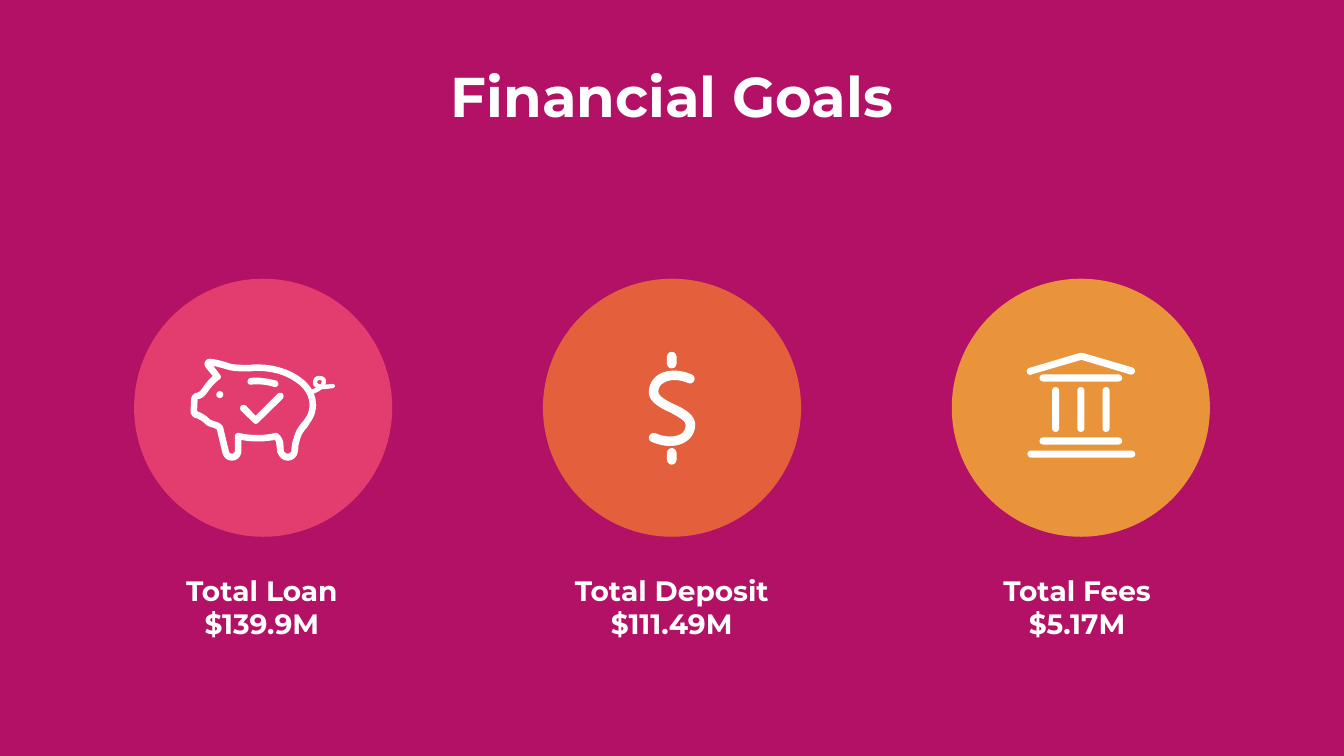
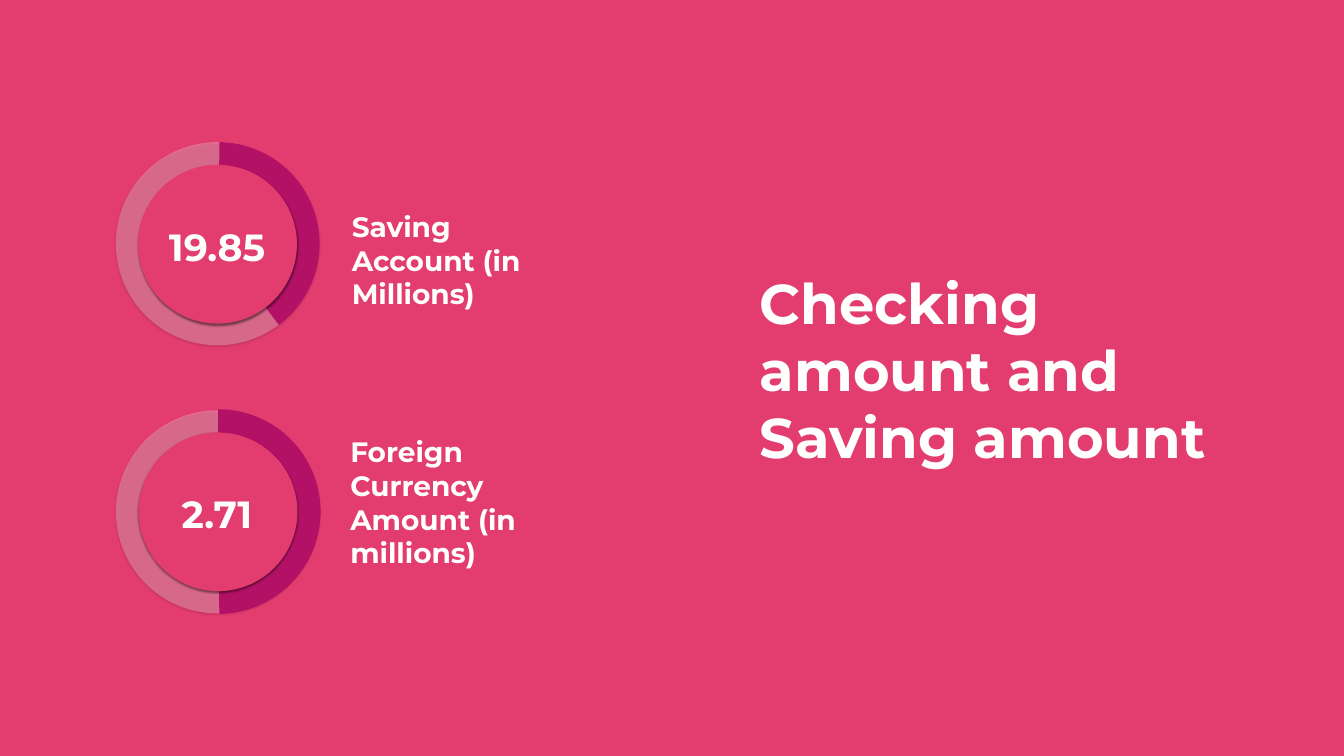
import pptx
import pptx.dml.color
import pptx.enum.shapes
import pptx.enum.text
import pptx.oxml
import pptx.oxml.ns
import pptx.util

PX = 9144  # EMU in one px; 100 px make an inch
WIDTH, HEIGHT = 2666, 1500
FONT = "Montserrat"
WHITE, PLUM, PINK = "FFFFFF", "B31166", "E33D6F"
ORANGE, AMBER = "E45F3C", "E9943A"
TITLE, NUMBER, LABEL = 80, 54, 40
CURVE_STEPS = 6

SHAPE = pptx.enum.shapes.MSO_SHAPE
ALIGN = pptx.enum.text.PP_ALIGN

# Icon outlines in px: ";" parts contours, "," parts segments;
# two numbers make a straight line, six make a curve.
DOLLAR = """1329 885, 1318 885 1305 882 1293 877, 1288 875 1286 869 1288 865,
    1290 860 1296 858 1301 860, 1319 868 1339 868 1351 861, 1357 857 1360 851 1360 843,
    1360 834 1343 826 1329 818, 1319 814 1310 809 1302 803, 1292 796 1287 787 1287 778,
    1287 764 1294 752 1305 744, 1322 733 1348 732 1372 743, 1377 745 1379 750 1377 755,
    1375 760 1370 762 1365 760, 1347 752 1327 752 1316 760, 1309 764 1306 770 1306 778,
    1306 786 1322 795 1337 802, 1346 806 1356 811 1364 817, 1374 825 1379 833 1379 843,
    1379 857 1372 869 1361 876, 1352 882 1341 885 1329 885"""

ROOF = """2044 744, 2041 744 2038 742 2037 739, 2036 735 2038 731 2042 730, 2143 700,
    2144 700 2145 700 2147 700, 2246 729, 2250 731 2252 734 2251 738,
    2250 742 2246 744 2242 743, 2145 714, 2046 743, 2045 744 2045 744 2044 744"""

PIG_INNER_TOP = """563 895, 565 898 568 900 571 900, 575 900 578 897 578 893,
    578 888 579 885 579 882, 580 877 581 873 583 868, 586 855 592 847 599 838,
    601 837 602 835 604 832, 611 823 614 813 614 803, 614 786 604 769 585 757,
    565 743 539 736 511 736, 506 736 502 736 497 737, 493 737 462 738 450 733,
    447 732 433 728 423 726, 436 743, 437 744 438 746 438 748, 438 750 437 752 435 753"""

PIG_INNER_LEGS = """425 760 419 768 414 775, 408 783 403 791 392 792,
    392 792 392 792 392 793, 391 816,
    391 816 392 816 392 816, 393 817 394 818 396 818, 402 821 409 824 416 832,
    418 833 422 835 426 836, 433 838 441 841 443 849, 454 895, 454 898 457 900 460 900,
    463 900 466 897 466 894, 466 865, 466 863 467 861 469 860, 470 859 472 859 474 859,
    486 862 498 863 511 863, 523 863 534 862 546 859, 548 859 551 859 552 861, 556 865,
    559 869 561 873 562 878"""

PIG_OUTER_LEGS = """571 914, 562 914 554 908 551 899, 551 899 550 898 550 898, 548 880,
    548 878 547 876 546 874, 545 873, 534 875 522 876 511 876, 500 876 490 875 479 873,
    479 894, 479 905 471 914 460 914, 450 914 443 907 441 898, 430 852,
    429 851 424 849 421 848, 416 847 410 845 406 840, 401 835 396 833 391 830,
    389 830 388 829 386 829, 381 826 378 821 378 816, 379 793"""

PIG_OUTER_TOP = """379 786 384 780 391 779,
    395 779 398 775 403 768, 407 762 413 754 422 746, 408 729, 405 725 405 720 407 717,
    410 713 414 711 419 712, 430 713 450 719 455 721, 462 724 484 724 496 724,
    501 723 506 723 511 723, 541 723 570 731 592 746, 615 761 627 781 627 803,
    627 816 623 829 614 840, 613 843 611 845 610 847, 603 855 598 861 595 872,
    594 876 593 880 592 884, 592 886 592 889 591 894, 591 905 582 914 571 914"""

PIG_BODY = ";".join([",".join([PIG_INNER_TOP, PIG_INNER_LEGS]),
                     ",".join([PIG_OUTER_LEGS, PIG_OUTER_TOP])])

PIG_TAIL = """634 754, 634 754 633 754 633 754, 632 754 631 755 630 756,
    629 758 629 760 630 760, 631 762 633 762 636 763, 636 762 637 761 637 761,
    638 759 638 757 638 755, 637 755 636 754 634 754;
    613 784, 611 784 610 783 609 781, 609 778 610 776 612 775, 615 774 622 772 627 769,
    626 768 624 767 623 766, 621 764 620 759 622 753, 624 748 629 745 635 746,
    640 746 645 749 646 753, 647 756 647 760 645 763, 650 763 655 762 659 762,
    662 761 664 763 664 765, 665 767 663 769 661 770, 661 770 654 771 646 772,
    643 772 641 772 639 772, 636 774 632 777 627 779, 620 782 615 784 613 784"""

PIG_SLOT = """546 768, 545 768 544 768 544 768, 535 765 529 764 519 763,
    515 762 504 763 499 763, 495 764 492 762 491 758, 491 754 493 751 497 750,
    503 749 515 749 520 750, 531 751 538 753 547 755, 551 756 553 760 552 764,
    551 766 548 768 546 768"""

CHECK_MARK = """507 841, 506 841 504 840 503 839, 478 815, 476 812 476 808 478 805,
    481 803 485 803 488 805, 507 825, 551 781, 554 779 558 779 561 781,
    563 784 563 788 561 791, 512 839, 511 840 509 841 507 841"""


def color(code):
    return pptx.dml.color.RGBColor.from_string(code)


def trace(contour):
    """Turn one contour into points in EMU, with curves cut into short lines."""
    points = []
    for segment in contour.split(","):
        numbers = [int(number) * PX for number in segment.split()]
        knots = list(zip(numbers[::2], numbers[1::2]))
        if len(knots) == 1:
            points += knots
            continue
        knots.insert(0, points[-1])
        for step in range(1, CURVE_STEPS + 1):
            t = step / CURVE_STEPS
            weights = ((1 - t) ** 3, 3 * t * (1 - t) ** 2, 3 * t * t * (1 - t), t ** 3)
            points.append(tuple(
                sum(weight * knot[axis] for weight, knot in zip(weights, knots))
                for axis in (0, 1)))
    return points


class Deck:
    """Holds the presentation, its style and the current slide."""

    def __init__(self):
        self.presentation = pptx.Presentation()
        self.presentation.slide_width = WIDTH * PX
        self.presentation.slide_height = HEIGHT * PX
        self.page = None

    def new_page(self, background):
        self.page = self.presentation.slides.add_slide(self.presentation.slide_layouts[6])
        self.shape(SHAPE.RECTANGLE, 0, 0, WIDTH, HEIGHT, background)

    def paint(self, shape, fill):
        shape.shadow.inherit = False
        shape.fill.solid()
        shape.fill.fore_color.rgb = color(fill)
        shape.line.fill.background()
        return shape

    def shape(self, kind, left, top, width, height, fill):
        shape = self.page.shapes.add_shape(
            kind, left * PX, top * PX, width * PX, height * PX)
        return self.paint(shape, fill)

    def pill(self, left, top, width, height):
        shape = self.shape(SHAPE.ROUNDED_RECTANGLE, left, top, width, height, WHITE)
        shape.adjustments[0] = 0.5
        return shape

    def pie(self, left, top, size, start, end):
        shape = self.shape(SHAPE.PIE, left, top, size, size, PLUM)
        shape.adjustments[0] = start * 0.6  # degrees to adjustment units
        shape.adjustments[1] = end * 0.6
        return shape

    def outline(self, drawing):
        contours = [trace(contour) for contour in drawing.split(";")]
        builder = self.page.shapes.build_freeform(*contours[0][0], scale=1.0)
        for index, points in enumerate(contours):
            if index:
                builder.move_to(*points[0])
            builder.add_line_segments(points[1:], close=True)
        return self.paint(builder.convert_to_shape(), WHITE)

    def disc(self, left, top, size, fill, opacity=100):
        """A circle with a soft shadow below it."""
        shape = self.shape(SHAPE.OVAL, left, top, size, size, fill)
        effects = shape._element.spPr.find(pptx.oxml.ns.qn("a:effectLst"))
        effects.append(pptx.oxml.parse_xml(
            f'<a:outerShdw {pptx.oxml.ns.nsdecls("a")} blurRad="38100" dist="25400" '
            'dir="5400000" rotWithShape="0"><a:srgbClr val="000000">'
            '<a:alpha val="45000"/></a:srgbClr></a:outerShdw>'))
        if opacity < 100:
            tone = shape._element.spPr.find(".//" + pptx.oxml.ns.qn("a:srgbClr"))
            tone.append(pptx.oxml.parse_xml(
                f'<a:alpha {pptx.oxml.ns.nsdecls("a")} val="{opacity * 1000}"/>'))
        return shape

    def text(self, words, left, top, width, height, size, align=ALIGN.LEFT, wrap=True):
        box = self.page.shapes.add_textbox(left * PX, top * PX, width * PX, height * PX)
        frame = box.text_frame
        frame.word_wrap = wrap
        frame.auto_size = pptx.enum.text.MSO_AUTO_SIZE.SHAPE_TO_FIT_TEXT
        frame.text = words
        for para in frame.paragraphs:
            para.alignment = align
            for span in para.runs:
                span.font.name = FONT
                span.font.size = pptx.util.Pt(size)
                span.font.bold = True
                span.font.color.rgb = color(WHITE)
        return box

    def group(self, shapes):
        return self.page.shapes.add_group_shape(shapes)

    def gauge(self, top, pie, hole, number, label):
        """A ring with a filled share, its number inside and its label beside."""
        self.group([
            self.disc(230, top, 403, WHITE, opacity=25),
            self.pie(*pie),
            self.disc(*hole, 315, PINK),
            self.text(*number, NUMBER, ALIGN.CENTER, wrap=False),
            self.text(*label, LABEL),
        ])


def goals_page(deck):
    deck.new_page(PLUM)

    # Circles
    for index, fill in enumerate((PINK, ORANGE, AMBER)):
        deck.shape(SHAPE.OVAL, 266 + 811 * index, 553, 512, 512, fill)

    # Dollar sign
    deck.group([deck.outline(DOLLAR)] + [deck.pill(1323, top, 19, 33) for top in (698, 889)])

    # Bank: beams, columns, roof
    beams = [(2062, 868, 164), (2062, 743, 164), (2038, 894, 214)]
    bank = [deck.pill(left, top, width, 14) for left, top, width in beams]
    bank += [deck.pill(2087 + 50 * index, 768, 14, 89) for index in range(3)]
    deck.group(bank + [deck.outline(ROOF)])

    # Piggy bank
    pig = [deck.outline(part) for part in (PIG_BODY, PIG_TAIL, PIG_SLOT, CHECK_MARK)]
    deck.group(pig + [deck.shape(SHAPE.OVAL, 429, 776, 14, 14, WHITE)])

    # Captions and title
    captions = [(281, "Total Loan\n$139.9M"), (1094, "Total Deposit\n$111.49M"),
                (1898, "Total Fees\n$5.17M")]
    for left, words in captions:
        deck.text(words, left, 1132, 477, 145, LABEL, ALIGN.CENTER)
    deck.text("Financial Goals", 246, 118, 2174, 145, TITLE, ALIGN.CENTER)


def accounts_page(deck):
    deck.new_page(PINK)
    deck.text("Checking amount and Saving amount", 1497, 528, 929, 414, TITLE)

    # Gauges
    deck.gauge(282, pie=(231, 282, 403, 270.86, 53.19), hole=(274, 327),
               number=("19.85", 323, 438, 215, 101),
               label=("Saving Account (in Millions)", 688, 411, 403, 212))
    deck.gauge(814, pie=(230, 812, 406, 269.92, 89.4), hole=(275, 858),
               number=("2.71", 345, 969, 171, 101),
               label=("Foreign Currency Amount (in millions)", 685, 858, 403, 279))


def main():
    deck = Deck()
    goals_page(deck)
    accounts_page(deck)
    deck.presentation.save("out.pptx")


if __name__ == "__main__":
    main()
